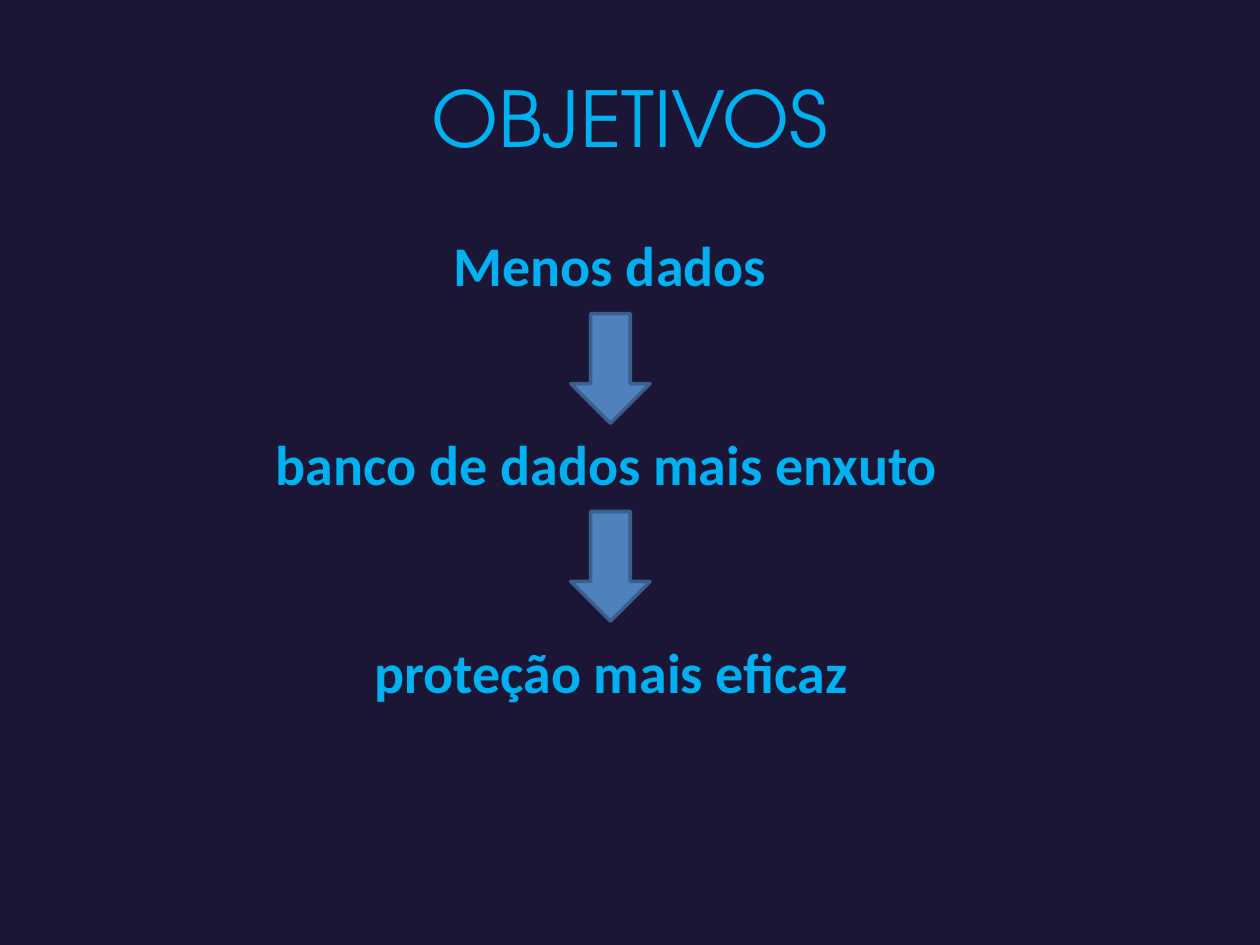
from pptx import Presentation
from pptx.dml.color import RGBColor
from pptx.enum.shapes import MSO_SHAPE
from pptx.enum.text import MSO_ANCHOR, PP_ALIGN
from pptx.oxml.ns import qn
from pptx.util import Inches, Pt

DOWN_ARROW = MSO_SHAPE.DOWN_ARROW
MIDDLE, TOP = MSO_ANCHOR.MIDDLE, MSO_ANCHOR.TOP
CENTER, LEFT = PP_ALIGN.CENTER, PP_ALIGN.LEFT


def color(hex_code):
    return RGBColor.from_string(hex_code)


def write(box, place, text, font_name, size, bold, align, anchor):
    box.left, box.top, box.width, box.height = [Inches(value) for value in place]
    frame = box.text_frame
    frame.text = text
    frame.word_wrap = True
    frame.vertical_anchor = anchor
    para = frame.paragraphs[0]
    para.alignment = align
    font = para.runs[0].font
    font.name, font.size, font.bold = font_name, Pt(size), bold
    font.color.rgb = color("00B0F0")
    return para


deck = Presentation()
deck.slide_width, deck.slide_height = Inches(10), Inches(7.5)
page = deck.slides.add_slide(deck.slide_layouts[1])
page.background.fill.solid()
page.background.fill.fore_color.rgb = color("1B1636")

# Title
write(page.shapes.title, (0.5, 0.3, 9, 1.25), "OBJETIVOS",
      "TeX Gyre Adventor", 44, False, CENTER, MIDDLE)

# Steps: the first one is the body placeholder
steps = [
    ("Menos dados", 3.5, 1.78, 2.76),
    ("banco de dados mais enxuto", 2.09, 3.36, 5.51),
    ("proteção mais eficaz", 2.87, 5.01, 4.02),
]
for number, (text, left, top, width) in enumerate(steps):
    if number == 0:
        box = page.placeholders[1]
    else:
        box = page.shapes.add_textbox(0, 0, 0, 0)
    para = write(box, (left, top, width, 0.71), text, "Calibri", 32, True, LEFT, TOP)
    para.space_before = Pt(6.4)
    if number == 0:
        # No bullet and no hanging indent
        properties = para._p.get_or_add_pPr()
        properties.set("marL", "0")
        properties.set("indent", "0")
        properties.append(properties.makeelement(qn("a:buNone"), {}))

# Arrows between the steps
for top in (2.49, 4.06):
    arrow = page.shapes.add_shape(DOWN_ARROW, Inches(4.53), Inches(top),
                                  Inches(0.63), Inches(0.87))
    arrow.shadow.inherit = False
    arrow.fill.solid()
    arrow.fill.fore_color.rgb = color("4F81BD")
    arrow.line.color.rgb = color("3A5F8C")
    arrow.line.width = Pt(2)

deck.save("out.pptx")
